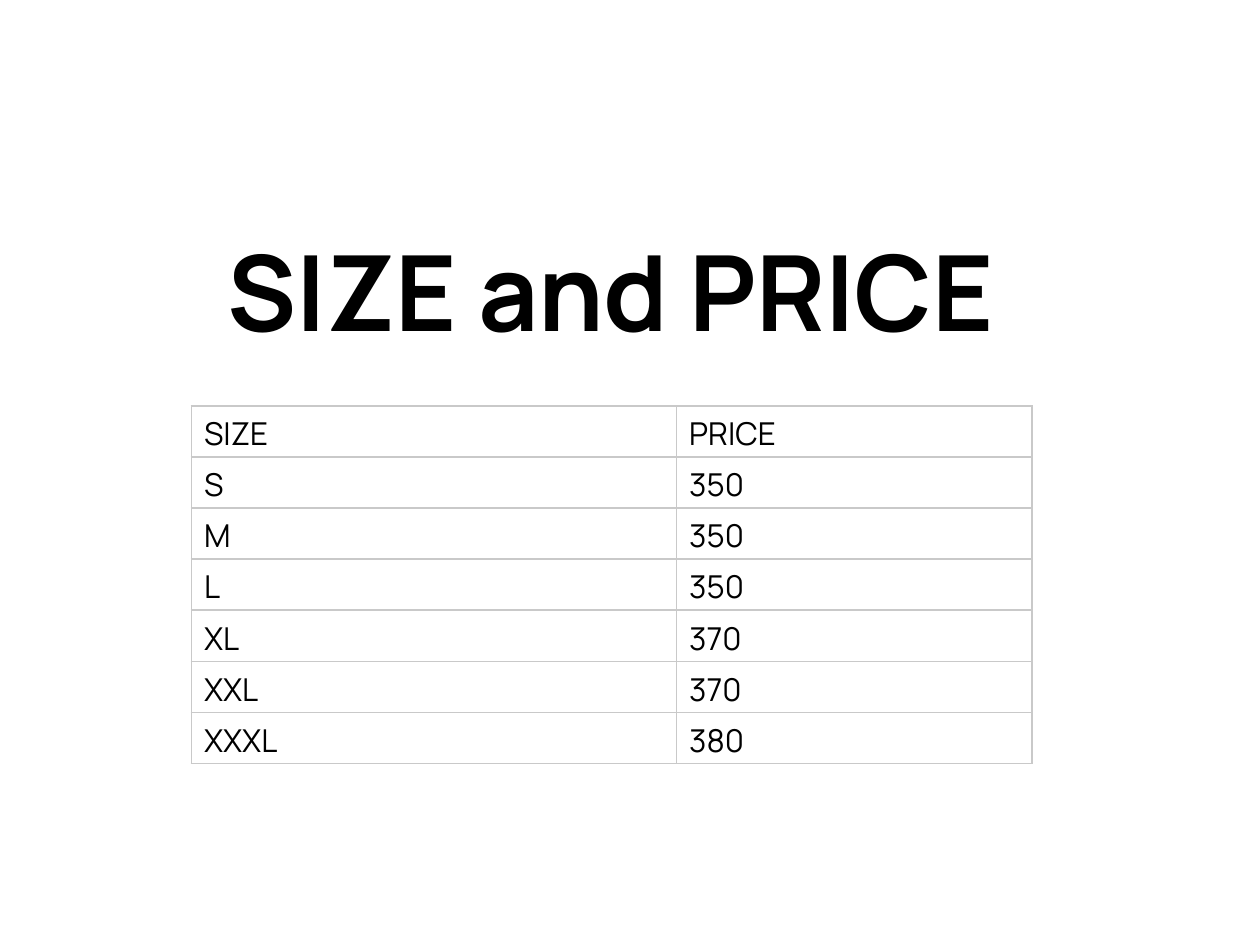
from lxml.etree import SubElement
from pptx import Presentation
from pptx.dml.color import RGBColor
from pptx.enum.text import MSO_ANCHOR as Anchor, PP_ALIGN as Align
from pptx.oxml.ns import qn
from pptx.util import Cm, Pt

FONT = "Manrope"
BLACK = "000000"
BORDER = "C9C9C9"
TITLE = "SIZE and PRICE"
PRICES = [
    ("SIZE", "PRICE"),
    ("S", "350"),
    ("M", "350"),
    ("L", "350"),
    ("XL", "370"),
    ("XXL", "370"),
    ("XXXL", "380"),
]
COLUMN_WIDTHS = (9.78, 7.16)
ROW_HEIGHT = 1.03


def color(value):
    """Turn a hex string into a colour."""
    return RGBColor.from_string(value)


def add_span(para, text, size, bold=False):
    """Add one styled run to a paragraph."""
    span = para.add_run()
    span.text = text
    span.font.name = FONT
    span.font.size = Pt(size)
    span.font.bold = bold
    span.font.color.rgb = color(BLACK)


def add_borders(cell):
    """Draw a thin line on all four sides of a cell."""
    props = cell._tc.get_or_add_tcPr()
    for position, side in enumerate(("lnL", "lnR", "lnT", "lnB")):
        line = SubElement(props, qn(f"a:{side}"), w=str(Pt(1)))
        fill = SubElement(line, qn("a:solidFill"))
        SubElement(fill, qn("a:srgbClr"), val=BORDER)
        props.insert(position, line)


def add_title(page):
    """Place the heading at the bottom of its box."""
    box = page.shapes.add_textbox(Cm(1.52), Cm(0.64), Cm(21.59), Cm(6.63))
    frame = box.text_frame
    frame.word_wrap = True
    frame.vertical_anchor = Anchor.BOTTOM
    para = frame.paragraphs[0]
    para.alignment = Align.CENTER
    para.line_spacing = 0.9
    add_span(para, TITLE, 60, bold=True)


def add_price_table(page):
    """Build the table of sizes and prices."""
    table = page.shapes.add_table(
        len(PRICES), len(COLUMN_WIDTHS), Cm(3.86), Cm(8.18),
        Cm(sum(COLUMN_WIDTHS)), Cm(ROW_HEIGHT * len(PRICES))).table
    table.first_row = table.horz_banding = False
    for column, width in zip(table.columns, COLUMN_WIDTHS):
        column.width = Cm(width)
    for row, texts in zip(table.rows, PRICES):
        row.height = Cm(ROW_HEIGHT)
        for cell, text in zip(row.cells, texts):
            cell.fill.background()
            add_borders(cell)
            add_span(cell.text_frame.paragraphs[0], text, 18)


deck = Presentation()
deck.slide_width, deck.slide_height = Cm(25.4), Cm(19.05)
page = deck.slides.add_slide(deck.slide_layouts[6])
add_title(page)
add_price_table(page)
deck.save("out.pptx")
